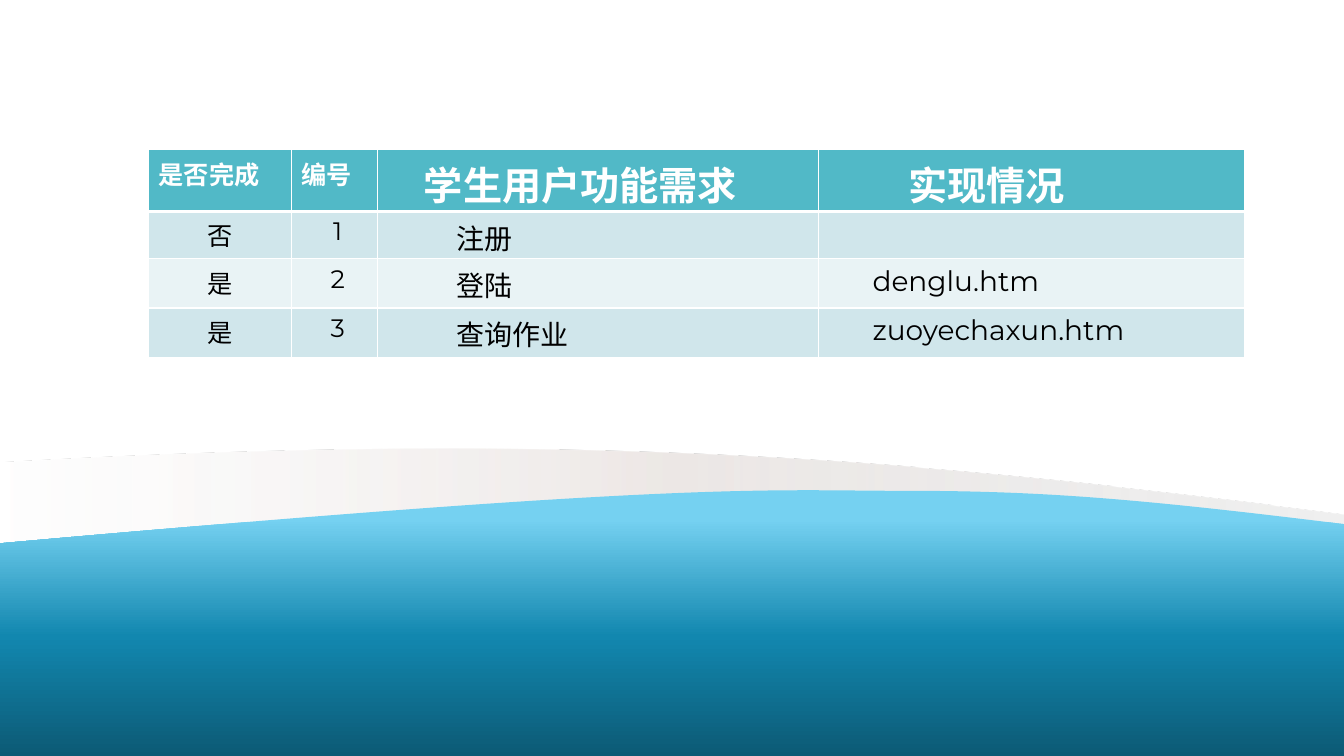
from dataclasses import dataclass

from lxml import etree
from pptx import Presentation
from pptx import util as u
from pptx.dml import color
from pptx.enum import text
from pptx.oxml import ns

Pt = u.Pt


@dataclass(frozen=True)
class Theme:
    font: str = "Montserrat"
    white: str = "FFFFFF"
    black: str = "000000"
    header: str = "51B9C7"
    bands: tuple = ("D0E6EB", "E9F3F5")
    label_size: int = 18
    body_size: int = 20
    title_size: int = 28
    # Gradient stops: position %, colour, opacity %
    mist: tuple = ((0, "D9D9D9", 40), (50, "E5DEDB", 70), (100, "FFFFFF", 50))
    sea: tuple = ((11, "75D1F1", 100), (55, "1287AF", 100), (100, "0C5A75", 100))


THEME = Theme()
WIDTH, HEIGHT = 960, 540
INSET = 7.2

COLUMNS = (101.9, 61.7, 314.8, 304.4)
ROWS = (42.5, 33.8, 35.2, 35.2)
HEADINGS = ("是否完成", "编号", "学生用户功能需求", "实现情况")
HEADING_SIZES = (THEME.label_size,) * 2 + (THEME.title_size,) * 2
HEADING_INDENTS = (0, 0, 25.8, 57.2)
BODY_SIZES = (THEME.label_size,) * 2 + (THEME.body_size,) * 2
BODY_INDENTS = (0, 4.7, 49.3, 31.5)
REQUIREMENTS = (
    ("否", "1", "注册", ""),
    ("是", "2", "登陆", "denglu.htm"),
    ("是", "3", "查询作业", "zuoyechaxun.htm"),
)


def add_element(parent, tag, **attributes):
    return etree.SubElement(parent, ns.qn(tag), **attributes)


def set_gradient(shape, stops, angle):
    shape.fill.gradient()
    gradient = shape.fill._xPr.find(ns.qn("a:gradFill"))
    for child in list(gradient):
        gradient.remove(child)
    stop_list = add_element(gradient, "a:gsLst")
    for position, rgb, opacity in stops:
        stop = add_element(stop_list, "a:gs", pos=str(position * 1000))
        tint = add_element(stop, "a:srgbClr", val=rgb)
        if opacity < 100:
            add_element(tint, "a:alpha", val=str(opacity * 1000))
    add_element(gradient, "a:lin", ang=str(angle * 60000), scaled="0")


def add_wave(page, top, bottom, steps, stops, angle):
    """Full-width outline; a step of three points is a Bezier curve."""
    builder = page.shapes.build_freeform(0, Pt(top))
    builder.add_line_segments([(Pt(WIDTH), Pt(top)), (Pt(WIDTH), Pt(bottom))])
    shape = builder.convert_to_shape()
    outline = shape._element.find(".//" + ns.qn("a:path"))
    for child in list(outline):
        outline.remove(child)
    for index, points in enumerate(steps):
        tag = "a:cubicBezTo" if len(points) == 3 else "a:lnTo"
        command = add_element(outline, tag if index else "a:moveTo")
        for x, y in points:
            add_element(command, "a:pt", x=str(Pt(x)), y=str(Pt(y - top)))
    add_element(outline, "a:close")
    shape.shadow.inherit = False
    shape.line.fill.background()
    set_gradient(shape, stops, angle)


def set_borders(cell, bottom):
    properties = cell._tc.get_or_add_tcPr()
    for side, width in (("L", 1), ("R", 1), ("T", 1), ("B", bottom)):
        line = add_element(properties, f"a:ln{side}", w=str(Pt(width)))
        fill = add_element(line, "a:solidFill")
        add_element(fill, "a:srgbClr", val=THEME.white)


def fill_cell(cell, words, size, indent, ink, back, bold=False, centred=False):
    cell.fill.solid()
    cell.fill.fore_color.rgb = color.RGBColor.from_string(back)
    cell.margin_left = Pt(INSET + indent)
    cell.margin_bottom = 0
    if not words:
        return
    para = cell.text_frame.paragraphs[0]
    if centred:
        para.alignment = text.PP_ALIGN.CENTER
    span = para.add_run()
    span.text = words
    span.font.name = THEME.font
    span.font.size = Pt(size)
    span.font.bold = bold
    span.font.color.rgb = color.RGBColor.from_string(ink)


def add_requirements_table(page, left, top):
    frame = page.shapes.add_table(len(ROWS), len(COLUMNS), Pt(left), Pt(top),
                                  Pt(sum(COLUMNS)), Pt(sum(ROWS)))
    table = frame.table
    for column, width in zip(table.columns, COLUMNS):
        column.width = Pt(width)
    for row, height in zip(table.rows, ROWS):
        row.height = Pt(height)

    for index, heading in enumerate(HEADINGS):
        cell = table.cell(0, index)
        set_borders(cell, bottom=3)
        fill_cell(cell, heading, HEADING_SIZES[index], HEADING_INDENTS[index],
                  THEME.white, THEME.header, bold=True)

    for number, entries in enumerate(REQUIREMENTS, start=1):
        band = THEME.bands[(number - 1) % 2]
        for index, words in enumerate(entries):
            cell = table.cell(number, index)
            set_borders(cell, bottom=1)
            fill_cell(cell, words, BODY_SIZES[index], BODY_INDENTS[index],
                      THEME.black, band, centred=index < 2)


def main():
    deck = Presentation()
    deck.slide_width, deck.slide_height = Pt(WIDTH), Pt(HEIGHT)
    page = deck.slides.add_slide(deck.slide_layouts[6])

    # Pale wave behind the sea
    mist_steps = (
        [(0, 330.6)],
        [(426, 306), (672, 330.6), (WIDTH, 367.2)],
        [(WIDTH, 384.5), (WIDTH, 365), (WIDTH, 382.3)],
        [(628, 316), (348, 370.8), (0, 388.1)],
        [(0, 330.6)],
    )
    add_wave(page, 321.1, 388.1, mist_steps, THEME.mist, 180)

    # Blue sea down to the bottom edge
    sea_steps = (
        [(0, 388.1)],
        [(498, 343.4), (549.4, 350.6), (647.3, 350.6)],
        [(745.2, 350.6), (814.3, 356.4), (WIDTH, 374.4)],
        [(WIDTH, HEIGHT)],
        [(0, HEIGHT)],
        [(0, 388.1)],
    )
    add_wave(page, 350, HEIGHT, sea_steps, THEME.sea, 90)

    # Requirements table
    add_requirements_table(page, 106.2, 107)

    deck.save("out.pptx")


if __name__ == "__main__":
    main()
